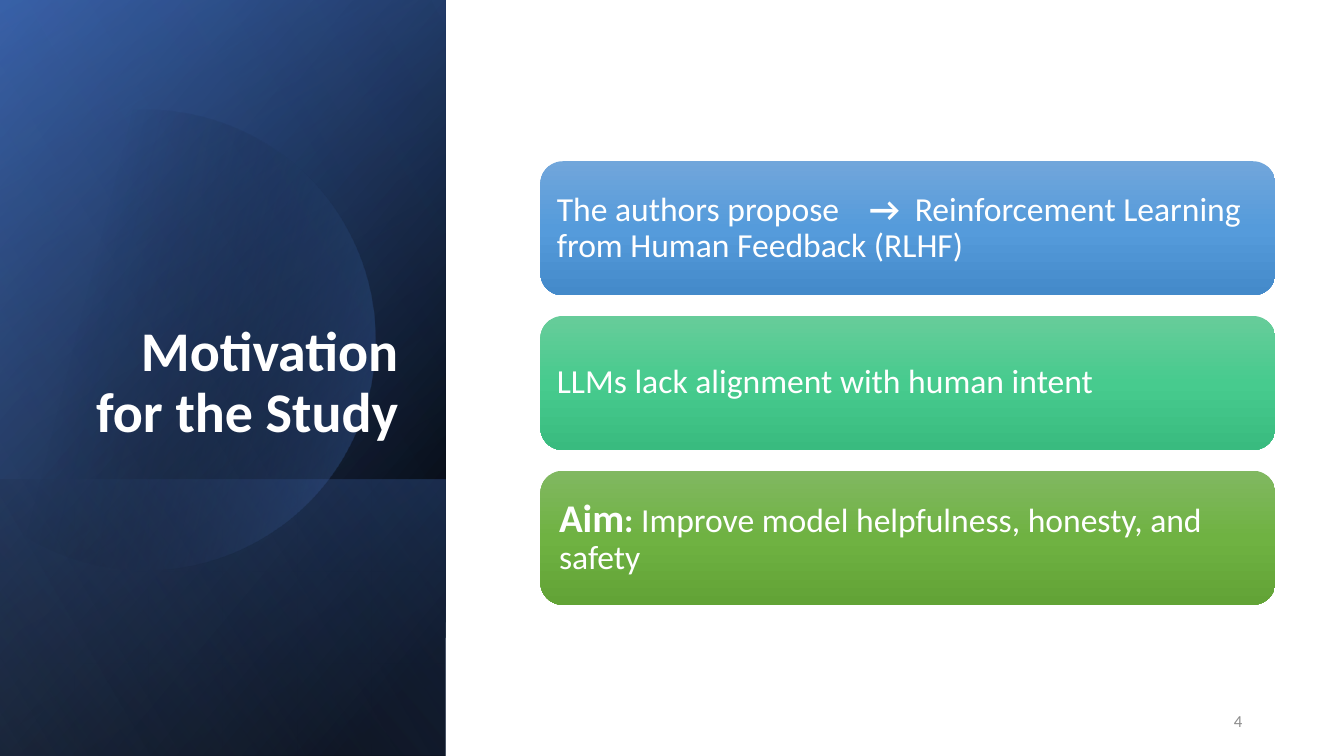
from dataclasses import dataclass
from math import acos, cos, pi, sin

from lxml.etree import SubElement
from pptx import Presentation
from pptx.dml.color import RGBColor
from pptx.enum.shapes import MSO_SHAPE
from pptx.enum.text import MSO_ANCHOR, MSO_AUTO_SIZE, PP_ALIGN
from pptx.oxml.ns import qn
from pptx.util import Inches, Pt


@dataclass(frozen=True)
class Theme:
    font: str = "Calibri"
    light: str = "FFFFFF"
    muted: str = "8C8C8C"
    dark: str = "000000"
    blue: str = "4472C4"
    deep_blue: str = "2F5597"
    pale_blue: str = "8FAADC"
    title_size: int = 40
    lead_size: int = 28
    body_size: int = 24
    number_size: int = 12


THEME = Theme()


@dataclass(frozen=True)
class Stop:
    position: int
    color: str
    opacity: int = 100


@dataclass(frozen=True)
class Panel:
    top: float
    length: float
    stops: tuple[Stop, ...]
    angle: int


@dataclass(frozen=True)
class Span:
    text: str
    bold: bool = False
    size: int = THEME.body_size


@dataclass(frozen=True)
class Card:
    spans: tuple[Span, ...]
    colors: tuple[str, str, str]
    inset: float = 0.1
    tabs: tuple[float, ...] = ()


PANEL_WIDTH = 4.42
BACK_PANELS = (
    Panel(0, 7.5, (Stop(8, THEME.dark), Stop(100, THEME.deep_blue)), 50),
    Panel(0, 7.5, (Stop(0, THEME.dark, 0), Stop(99, THEME.blue, 46)), 30),
    Panel(4.76, 2.74, (Stop(2, THEME.blue, 29), Stop(100, THEME.dark, 30)), 130),
)
GLOW_PANEL = Panel(0, 7.5, (Stop(0, THEME.dark, 0), Stop(99, THEME.pale_blue, 11)), 120)

CARD_LEFT, CARD_TOP, CARD_WIDTH, CARD_HEIGHT = 5.36, 1.6, 7.29, 1.33
CARD_STEP = 1.535
CARDS = (
    Card(
        (
            Span("The authors propose\t"),
            Span("→", bold=True),
            Span("\tReinforcement Learning from Human Feedback (RLHF)"),
        ),
        ("71A6DB", "559BDB", "448ACA"),
        tabs=(3.1, 3.55),
    ),
    Card((Span("LLMs lack alignment with human intent"),), ("67CC9A", "47CB8E", "39BB7F")),
    Card(
        (
            Span("Aim", bold=True, size=THEME.lead_size),
            Span(": ", bold=True),
            Span("Improve model helpfulness, honesty, and safety"),
        ),
        ("81B861", "6FB242", "62A336"),
        inset=0.12,
    ),
)


def paint_gradient(shape, stops: tuple[Stop, ...], angle: int) -> None:
    """Fill with a linear gradient whose angle runs clockwise, without line or shadow."""
    shape.shadow.inherit = False
    shape.line.fill.background()
    shape.fill.gradient()
    gradient = shape._element.spPr.find(qn("a:gradFill"))
    for child in list(gradient):
        gradient.remove(child)
    stop_list = SubElement(gradient, qn("a:gsLst"))
    for stop in stops:
        entry = SubElement(stop_list, qn("a:gs"), pos=str(stop.position * 1000))
        color = SubElement(entry, qn("a:srgbClr"), val=stop.color)
        if stop.opacity < 100:
            SubElement(color, qn("a:alpha"), val=str(stop.opacity * 1000))
    SubElement(gradient, qn("a:lin"), ang=str(angle * 60000), scaled="0")


def write_text(
    shape,
    spans: tuple[Span, ...],
    *,
    color: str = THEME.light,
    align: PP_ALIGN = PP_ALIGN.LEFT,
    anchor: MSO_ANCHOR = MSO_ANCHOR.MIDDLE,
    line_spacing: float = 0.9,
    inset: tuple[float, float] = (0.1, 0.05),
    tabs: tuple[float, ...] = (),
) -> None:
    frame = shape.text_frame
    frame.word_wrap = True
    frame.auto_size = MSO_AUTO_SIZE.NONE
    frame.vertical_anchor = anchor
    frame.margin_left = frame.margin_right = Inches(inset[0])
    frame.margin_top = frame.margin_bottom = Inches(inset[1])
    para = frame.paragraphs[0]
    para.alignment = align
    para.line_spacing = line_spacing
    for span in spans:
        run = para.add_run()
        run.text = span.text
        run.font.name = THEME.font
        run.font.size = Pt(span.size)
        run.font.bold = span.bold
        run.font.color.rgb = RGBColor.from_string(color)
    if tabs:
        tab_list = SubElement(para._p.get_or_add_pPr(), qn("a:tabLst"))
        for tab in tabs:
            SubElement(tab_list, qn("a:tab"), pos=str(Inches(tab)), algn="l")


def add_panel(slide, panel: Panel) -> None:
    """Add a mirrored rectangle turned upright along the left edge of the slide."""
    left = (PANEL_WIDTH - panel.length) / 2
    top = panel.top + (panel.length - PANEL_WIDTH) / 2
    shape = slide.shapes.add_shape(
        MSO_SHAPE.RECTANGLE, Inches(left), Inches(top), Inches(panel.length), Inches(PANEL_WIDTH)
    )
    shape.rotation = 90
    shape._element.spPr.find(qn("a:xfrm")).set("flipH", "1")
    paint_gradient(shape, panel.stops, panel.angle)


def add_disc(slide) -> None:
    """Add the translucent disc, cut off just beyond the left edge of the slide."""
    center_x, center_y, radius, cut_x, steps = 1.44, 3.37, 2.28, -0.15, 120
    reach = acos((cut_x - center_x) / radius)
    angles = [reach * (2 * step / steps - 1) for step in range(steps + 1)]
    points = [
        (Inches(center_x + radius * cos(angle)), Inches(center_y + radius * sin(angle)))
        for angle in angles
    ]
    builder = slide.shapes.build_freeform(*points[0])
    builder.add_line_segments(points[1:], close=True)
    paint_gradient(
        builder.convert_to_shape(), (Stop(29, THEME.dark, 0), Stop(100, THEME.blue, 43)), 14
    )


def add_card(slide, card: Card, top: float) -> None:
    shape = slide.shapes.add_shape(
        MSO_SHAPE.ROUNDED_RECTANGLE,
        Inches(CARD_LEFT), Inches(top), Inches(CARD_WIDTH), Inches(CARD_HEIGHT),
    )
    stops = tuple(Stop(50 * index, color) for index, color in enumerate(card.colors))
    paint_gradient(shape, stops, 90)
    write_text(shape, card.spans, inset=(card.inset, card.inset), tabs=card.tabs)


def place_title(slide) -> None:
    title = slide.shapes.title
    title.left, title.top = Inches(0.64), Inches(1.84)
    title.width, title.height = Inches(3.41), Inches(2.62)
    write_text(
        title,
        (Span("Motivation for the Study", bold=True, size=THEME.title_size),),
        align=PP_ALIGN.RIGHT,
        anchor=MSO_ANCHOR.BOTTOM,
    )
    title._element.getparent().append(title._element)


def main() -> None:
    deck = Presentation()
    deck.slide_width, deck.slide_height = Inches(13.33), Inches(7.5)
    slide = deck.slides.add_slide(deck.slide_layouts.get_by_name("Title Only"))
    for panel in BACK_PANELS:
        add_panel(slide, panel)
    add_disc(slide)
    add_panel(slide, GLOW_PANEL)
    place_title(slide)
    for index, card in enumerate(CARDS):
        add_card(slide, card, CARD_TOP + index * CARD_STEP)
    number = slide.shapes.add_textbox(Inches(9.42), Inches(6.95), Inches(3), Inches(0.4))
    write_text(
        number, (Span("4", size=THEME.number_size),),
        color=THEME.muted, align=PP_ALIGN.RIGHT, line_spacing=1.0,
    )
    deck.save("out.pptx")


if __name__ == "__main__":
    main()
